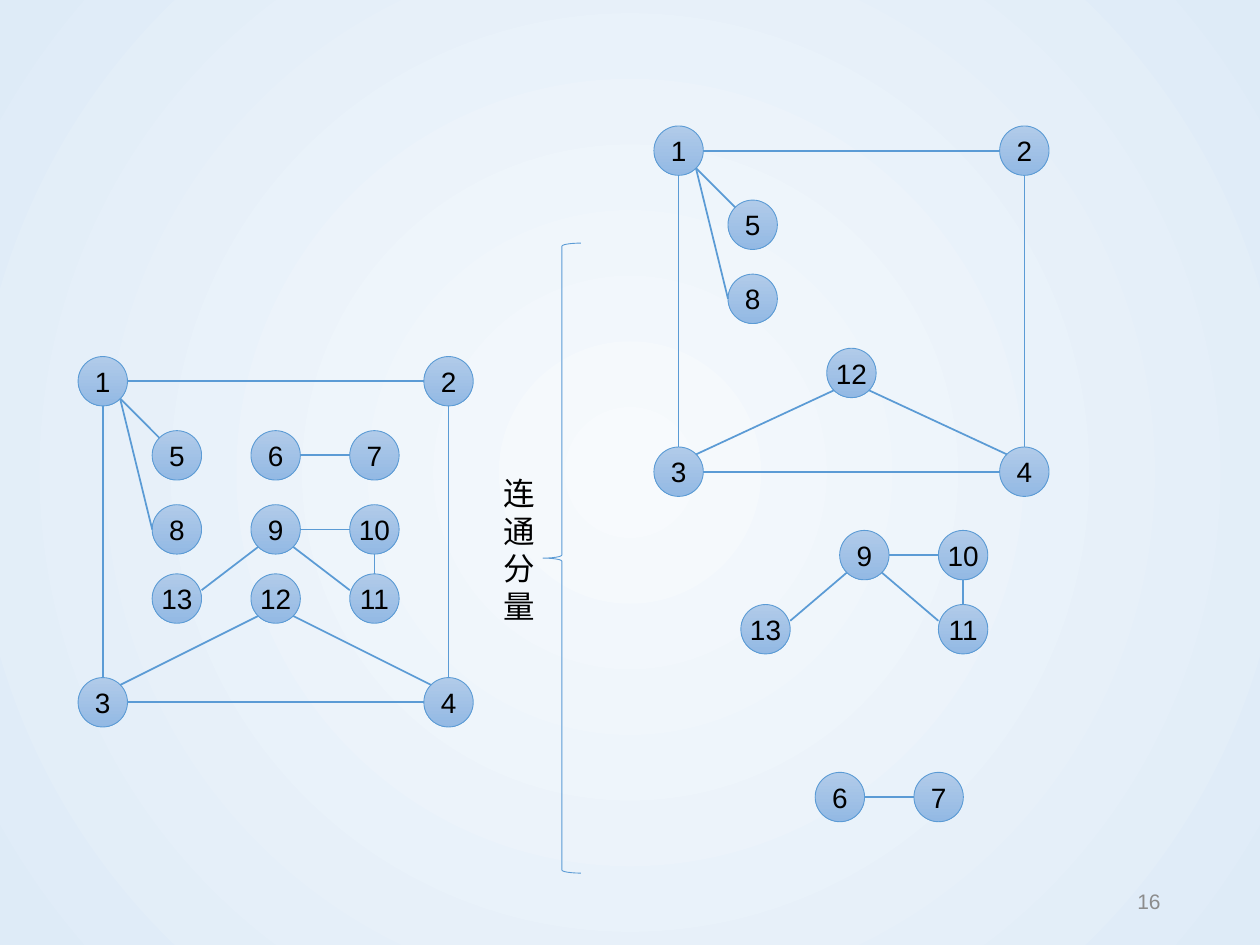
from lxml import etree
from pptx import Presentation
from pptx.dml.color import RGBColor
from pptx.enum.shapes import MSO_CONNECTOR, MSO_SHAPE
from pptx.enum.text import MSO_ANCHOR, PP_ALIGN
from pptx.oxml.ns import qn
from pptx.util import Inches, Pt

STRAIGHT = MSO_CONNECTOR.STRAIGHT
OVAL, LEFT_BRACE = MSO_SHAPE.OVAL, MSO_SHAPE.LEFT_BRACE
MIDDLE, TOP = MSO_ANCHOR.MIDDLE, MSO_ANCHOR.TOP
CENTER, RIGHT = PP_ALIGN.CENTER, PP_ALIGN.RIGHT

FONT = "Arial"
COLORS = {
    "centre": "F7FAFD", "edge": "DEEBF7",
    "node top": "B1CBE9", "node bottom": "93B9E4",
    "line": "5B9BD5", "text": "000000", "number": "8C8C8C",
}

UNIT = 0.196  # grid step in inches
NODE_SIZE = 2 * UNIT

# Each graph: origin in inches, then node -> (column, row) in grid steps
GRAPHS = [
    ((0.62, 2.83), {1: (0, 0), 2: (14, 0), 5: (3, 3), 6: (7, 3), 7: (11, 3),
                    8: (3, 6), 9: (7, 6), 10: (11, 6), 13: (3, 8.8),
                    12: (7, 8.8), 11: (11, 8.8), 3: (0, 13), 4: (14, 13)}),
    ((5.19, 1.0), {1: (0, 0), 2: (14, 0), 5: (3, 3), 8: (3, 6),
                   12: (7, 9), 3: (0, 13), 4: (14, 13)}),
    ((5.88, 4.21), {9: (4, 0), 10: (8, 0), 13: (0, 3), 11: (8, 3)}),
    ((6.47, 6.13), {6: (0, 0), 7: (4, 0)}),
]

# Points on a node as shares of its width and height
SITES = {
    "top": (0.5, 0), "bottom": (0.5, 1), "left": (0, 0.5), "right": (1, 0.5),
    "top left": (0.15, 0.15), "top right": (0.85, 0.15),
    "bottom left": (0.15, 0.85), "bottom right": (0.85, 0.85),
    "upper left side": (0, 0.33), "upper right side": (1, 0.33),
}
EDGES = [
    (1, "right", 2, "left"), (1, "bottom", 3, "top"),
    (4, "left", 3, "right"), (2, "bottom", 4, "top"),
    (1, "bottom right", 5, "top left"), (1, "bottom right", 8, "left"),
    (6, "right", 7, "left"), (9, "right", 10, "left"),
    (11, "top", 10, "bottom"),
    (9, "bottom right", 11, "upper left side"),
    (9, "bottom left", 13, "upper right side"),
    (12, "bottom right", 4, "top left"), (12, "bottom left", 3, "top right"),
]


def rgb(name):
    return RGBColor.from_string(COLORS[name])


def set_gradient(fill, *names):
    fill.gradient()
    for stop, name in zip(fill.gradient_stops, names):
        stop.color.rgb = rgb(name)


def set_background(slide):
    set_gradient(slide.background.fill, "centre", "edge")
    gradient = slide.element.find(".//" + qn("a:gradFill"))
    path = etree.Element(qn("a:path"), path="circle")
    etree.SubElement(path, qn("a:fillToRect"),
                     {side: "50000" for side in "ltrb"})
    gradient.replace(gradient.find(qn("a:lin")), path)


def set_text(shape, text, size, color, alignment, anchor, margin=0):
    frame = shape.text_frame
    frame.word_wrap = True
    frame.vertical_anchor = anchor
    frame.margin_left = frame.margin_right = Inches(margin)
    frame.margin_top = frame.margin_bottom = Inches(margin / 2)
    paragraph = frame.paragraphs[0]
    paragraph.text = text
    paragraph.alignment = alignment
    paragraph.font.size = Pt(size)
    paragraph.font.name = FONT
    paragraph.font.color.rgb = rgb(color)


def add_outlined(slide, kind, *box):
    shape = slide.shapes.add_shape(kind, *map(Inches, box))
    shape.shadow.inherit = False
    shape.line.color.rgb = rgb("line")
    shape.line.width = Pt(0.5)
    return shape


def add_node(slide, number, left, top):
    node = add_outlined(slide, OVAL, left, top, NODE_SIZE, NODE_SIZE)
    set_gradient(node.fill, "node top", "node bottom")
    node.fill.gradient_angle = 270
    set_text(node, str(number), 16, "text", CENTER, MIDDLE)
    node.text_frame.word_wrap = False


def add_edge(slide, start, end):
    edge = slide.shapes.add_connector(STRAIGHT, *map(Inches, start + end))
    edge.line.color.rgb = rgb("line")
    edge.line.width = Pt(1)
    etree.SubElement(edge.element.spPr, qn("a:effectLst"))


def add_graph(slide, origin, cells):
    corners = {number: tuple(start + step * UNIT
                             for start, step in zip(origin, cell))
               for number, cell in cells.items()}

    def site_point(number, site):
        return tuple(corner + share * NODE_SIZE
                     for corner, share in zip(corners[number], SITES[site]))

    for number, corner in corners.items():
        add_node(slide, number, *corner)
    for first, first_site, second, second_site in EDGES:
        if first in corners and second in corners:
            add_edge(slide, site_point(first, first_site),
                     site_point(second, second_site))


def add_label(slide, box, *text_settings):
    label = slide.shapes.add_textbox(*map(Inches, box))
    set_text(label, *text_settings)


def main():
    presentation = Presentation()
    presentation.slide_width = Inches(10)
    presentation.slide_height = Inches(7.5)
    slide = presentation.slides.add_slide(presentation.slide_layouts[6])
    set_background(slide)

    for origin, cells in GRAPHS:
        add_graph(slide, origin, cells)

    brace = add_outlined(slide, LEFT_BRACE, 4.31, 1.93, 0.3, 5)
    brace.fill.background()
    add_label(slide, (3.94, 3.76, 0.36, 1.21),
              "连通分量", 18, "text", CENTER, TOP)
    add_label(slide, (7.06, 6.95, 2.25, 0.4),
              "16", 12, "number", RIGHT, MIDDLE, 0.1)
    presentation.save("out.pptx")


if __name__ == "__main__":
    main()
